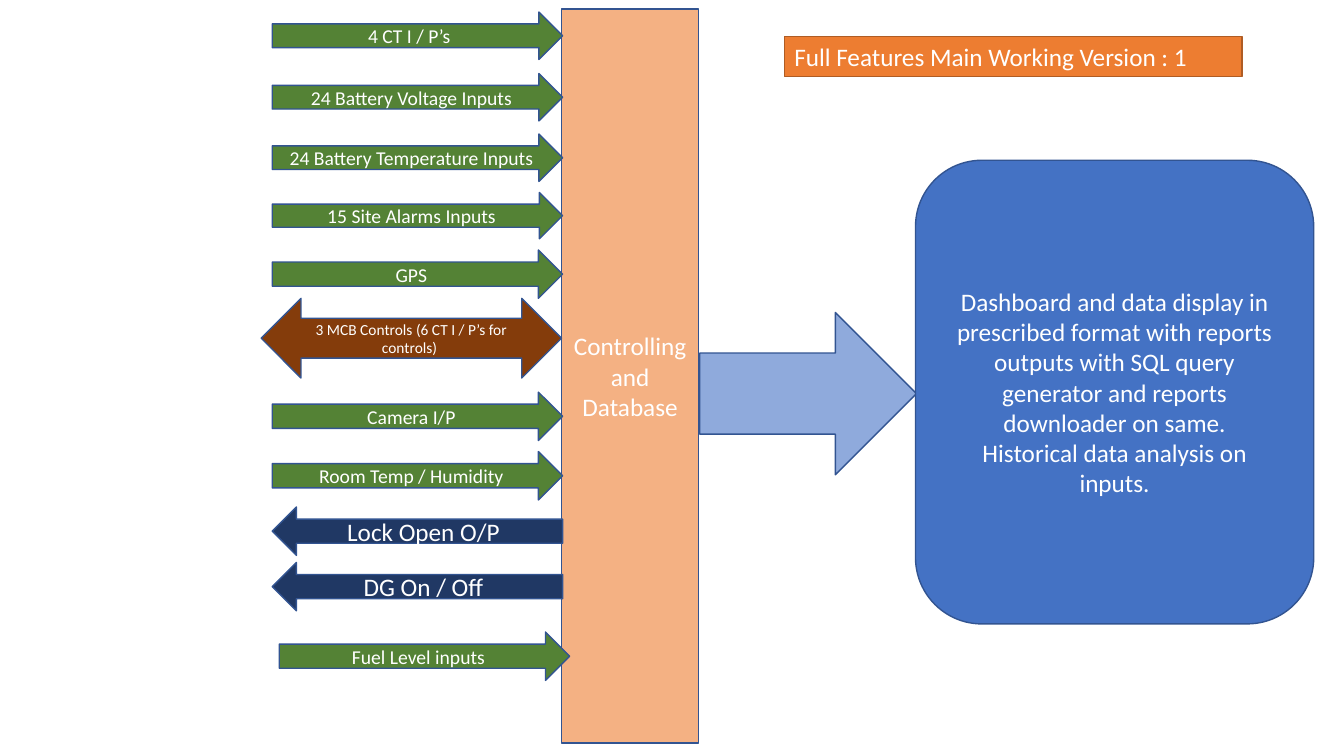
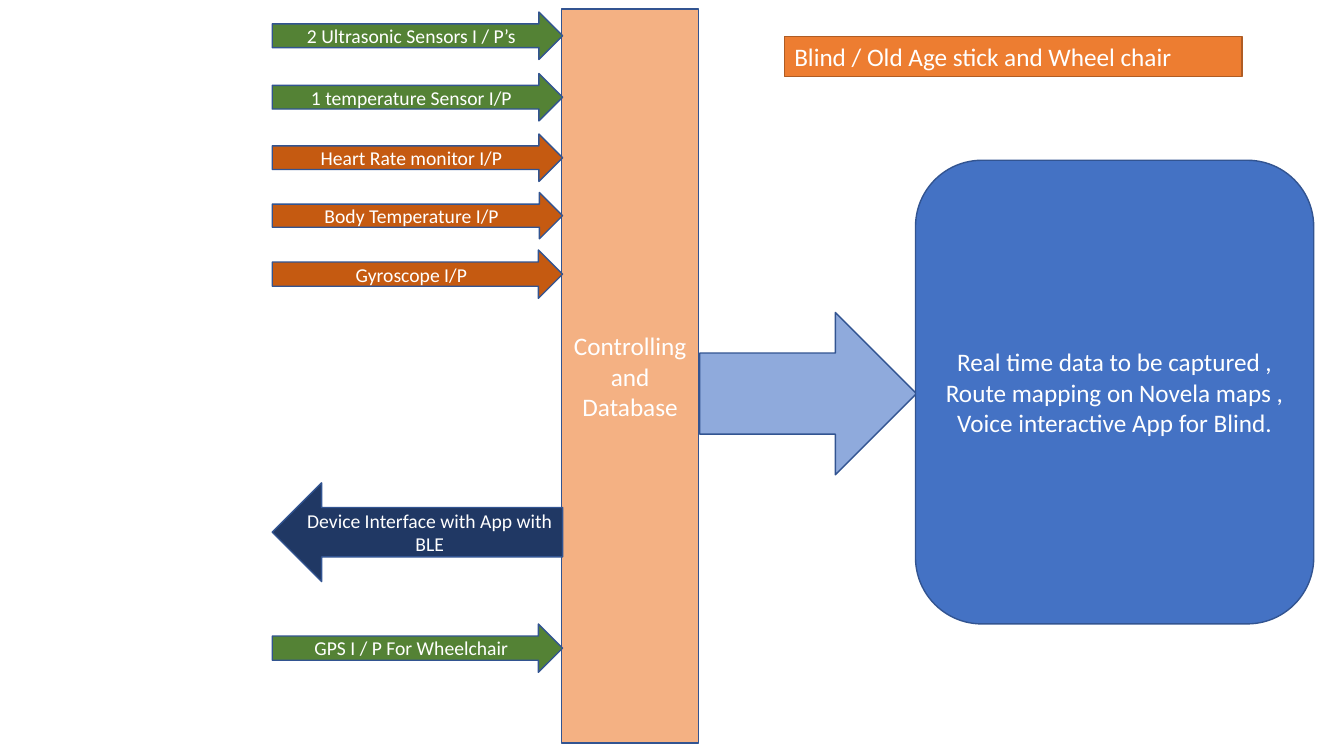
from pptx import Presentation
from pptx.dml.color import RGBColor
from pptx.enum.shapes import MSO_SHAPE
from pptx.enum.text import MSO_ANCHOR, MSO_AUTO_SIZE, PP_ALIGN
from pptx.util import Inches, Pt

RECT = MSO_SHAPE.RECTANGLE
ROUND = MSO_SHAPE.ROUNDED_RECTANGLE
RIGHT = MSO_SHAPE.RIGHT_ARROW
LEFT = MSO_SHAPE.LEFT_ARROW
BOTH = MSO_SHAPE.LEFT_RIGHT_ARROW
MIDDLE, TOP = MSO_ANCHOR.MIDDLE, MSO_ANCHOR.TOP
CENTER, START = PP_ALIGN.CENTER, PP_ALIGN.LEFT
GROW = MSO_AUTO_SIZE.SHAPE_TO_FIT_TEXT

FONT = "Calibri"
COLORS = {
    "green": "548235", "rust": "C55A11", "brown": "843C0B",
    "navy": "203864", "peach": "F4B183", "sky": "8FAADC",
    "blue": "4472C4", "orange": "ED7D31", "edge": "325491",
    "rim": "AF5C24", "white": "FFFFFF",
}


def color(name):
    return RGBColor.from_string(COLORS[name])


class Deck:
    def __init__(self):
        self.file = Presentation()
        self.file.slide_width = Inches(13.33)
        self.file.slide_height = Inches(7.5)
        self.slide = None

    def start(self):
        self.slide = self.file.slides.add_slide(self.file.slide_layouts[6])

    def shape(self, kind, box, fill, text="", size=18, edge="edge",
              align=CENTER, anchor=MIDDLE):
        item = self.slide.shapes.add_shape(kind, *map(Inches, box))
        item.shadow.inherit = False
        item.fill.solid()
        item.fill.fore_color.rgb = color(fill)
        item.line.color.rgb = color(edge)
        item.line.width = Pt(1)
        frame = item.text_frame
        frame.word_wrap = True
        frame.vertical_anchor = anchor
        frame.text = text
        for para in frame.paragraphs:
            para.alignment = align
            for run in para.runs:
                run.font.name = FONT
                run.font.size = Pt(size)
                run.font.color.rgb = color("white")
        return item

    def core(self):
        self.shape(RECT, (5.57, 0.09, 1.36, 7.28), "peach",
                   "Controlling and Database")

    def input(self, top, text, fill="green", left=2.7, high=0.48):
        self.shape(RIGHT, (left, top, 2.88, high), fill, text, 14)

    def output(self, top, text, size=18, high=0.48):
        self.shape(LEFT, (2.7, top, 2.88, high), "navy", text, size)

    def control(self, top, text):
        self.shape(BOTH, (2.59, top, 2.98, 0.79), "brown", text, 11)

    def result(self, text):
        self.shape(RIGHT, (6.94, 3.1, 2.15, 1.61), "sky")
        self.shape(ROUND, (9.08, 1.59, 3.95, 4.6), "blue", text)

    def title(self, text):
        item = self.shape(RECT, (7.78, 0.36, 4.54, 0.4), "orange", text,
                          edge="rim", align=START, anchor=TOP)
        item.text_frame.auto_size = GROW

    def frame(self, title, inputs, result):
        self.start()
        self.core()
        for (top, high), (text, fill) in zip(ROWS, inputs):
            self.input(top, text, fill, high=high)
        self.result(result)
        self.title(title)


ROWS = [(0.12, 0.47), (0.73, 0.47), (1.33, 0.47), (1.91, 0.46), (2.48, 0.48)]

deck = Deck()

deck.frame(
    "Full Features Main Working Version : 1",
    [("4 CT I / P’s ", "green"),
     ("24 Battery Voltage Inputs", "green"),
     ("24 Battery Temperature Inputs", "green"),
     ("15 Site Alarms Inputs", "green"),
     ("GPS", "green")],
    "Dashboard and data display in prescribed format with reports outputs "
    "with SQL query generator and reports downloader on same.\n"
    "Historical data analysis on inputs.")
deck.control(2.96, "3 MCB Controls (6 CT I / P’s for controls) ")
deck.input(3.89, "Camera I/P")
deck.input(4.48, "Room Temp / Humidity")
deck.output(5.03, "Lock Open O/P")
deck.output(5.58, "DG On / Off")
deck.input(6.27, "Fuel Level inputs", left=2.77)

deck.frame(
    "Blind / Old Age stick and Wheel chair",
    [(" 2 Ultrasonic Sensors I / P’s ", "green"),
     ("1 temperature Sensor I/P", "green"),
     ("Heart Rate monitor I/P", "rust"),
     ("Body Temperature I/P", "rust"),
     ("Gyroscope I/P", "rust")],
    "Real time data to be captured , Route mapping on Novela maps , "
    "Voice interactive App for Blind.")
deck.output(4.79, "Device Interface with App with BLE", 14, 0.98)
deck.input(6.19, "GPS I / P For Wheelchair")

deck.file.save("out.pptx")
